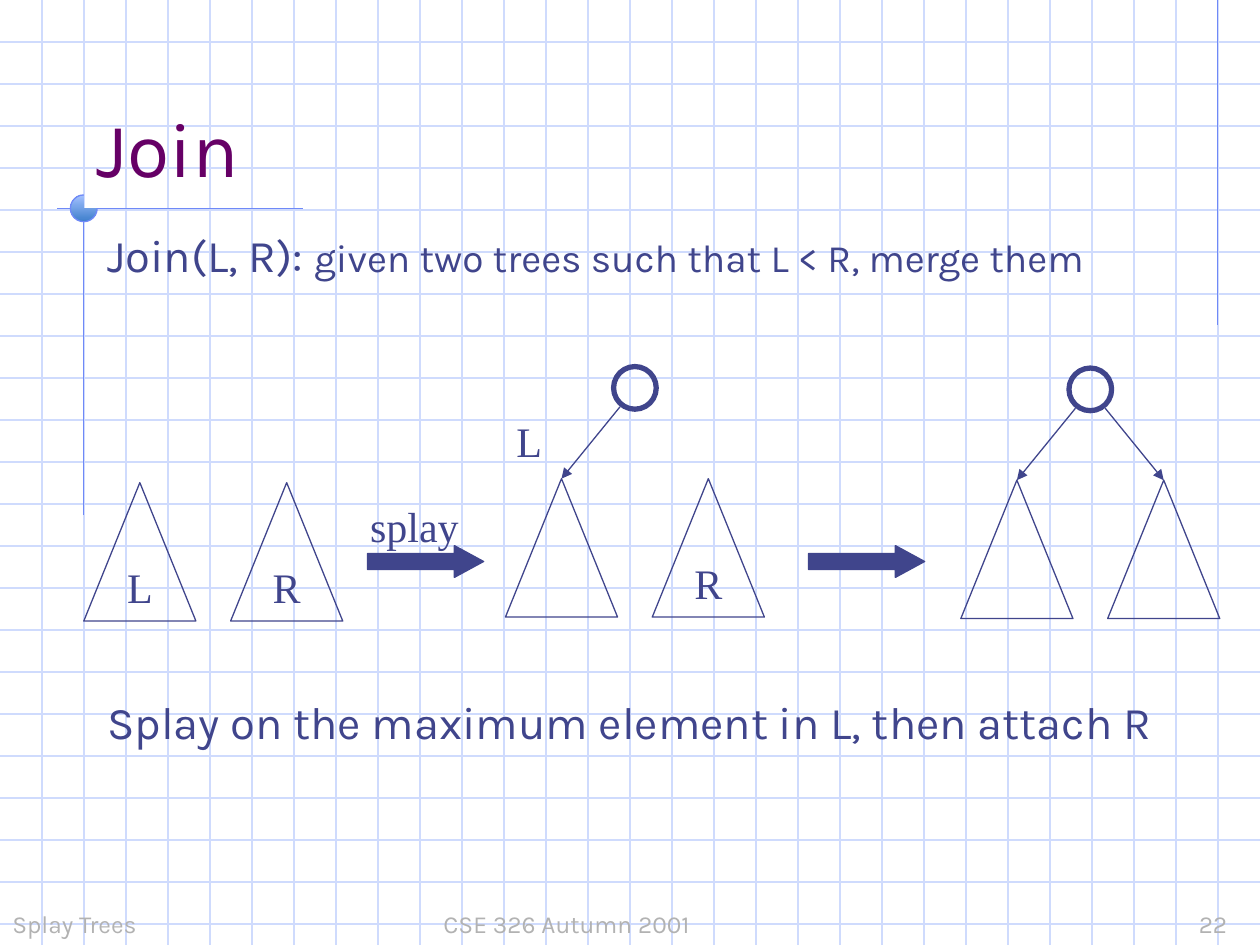
from lxml import etree
from pptx import Presentation
from pptx.dml.color import RGBColor
from pptx.enum.shapes import MSO_CONNECTOR, MSO_SHAPE
from pptx.enum.text import MSO_ANCHOR, MSO_AUTO_SIZE, PP_ALIGN
from pptx.oxml.ns import qn
from pptx.util import Cm, Pt

STRAIGHT = MSO_CONNECTOR.STRAIGHT
TRIANGLE, OVAL = MSO_SHAPE.ISOSCELES_TRIANGLE, MSO_SHAPE.OVAL
ARC, RIGHT_ARROW = MSO_SHAPE.ARC, MSO_SHAPE.RIGHT_ARROW
TOP, MIDDLE, BOTTOM = MSO_ANCHOR.TOP, MSO_ANCHOR.MIDDLE, MSO_ANCHOR.BOTTOM
LEFT, CENTER, RIGHT = PP_ALIGN.LEFT, PP_ALIGN.CENTER, PP_ALIGN.RIGHT
NO_AUTOFIT = MSO_AUTO_SIZE.NONE

INK, GRID, ACCENT = "40458C", "CFDBFD", "6F89F7"
PURPLE, GREY = "660066", "B2B2B2"
WIDTH, HEIGHT = 25.4, 19.05


def color(hex_string):
    return RGBColor.from_string(hex_string)


def add_line(x1, y1, x2, y2, line_color):
    line = slide.shapes.add_connector(STRAIGHT, Cm(x1), Cm(y1), Cm(x2), Cm(y2))
    line.line.color.rgb = color(line_color)
    line.line.width = Pt(0.75)
    etree.SubElement(line.element.spPr, qn("a:effectLst"))
    return line


presentation = Presentation()
presentation.slide_width, presentation.slide_height = Cm(WIDTH), Cm(HEIGHT)
slide = presentation.slides.add_slide(presentation.slide_layouts[1])
shapes = slide.shapes

# Grid paper: 30 squares across the width
step = WIDTH / 30
for row in range(1, 23):
    add_line(0, row * step, WIDTH, row * step, GRID)
for column in range(1, 30):
    add_line(column * step, 0, column * step, HEIGHT, GRID)

# Accent lines and the open circle at their corner
for ends in [(24.55, 0, 24.55, 6.55), (6.1, 4.21, 1.15, 4.21), (1.69, 3.93, 1.69, 10.39)]:
    add_line(*ends, ACCENT)
corner = shapes.add_shape(ARC, Cm(1.42), Cm(3.93), Cm(0.54), Cm(0.54))
corner.adjustments[0], corner.adjustments[1] = 0, 162  # 0 to 270 degrees
corner.shadow.inherit = False
corner.line.color.rgb = color(ACCENT)
corner.line.width = Pt(0.75)

# Title and body, placed in front of the grid
title, body = shapes.title, slide.placeholders[1]
for placeholder, box, anchor in [
    (title, (1.69, 0.85, 21.59, 3.17), BOTTOM),
    (body, (1.91, 4.45, 23.06, 11.43), TOP),
]:
    placeholder.element.getparent().append(placeholder.element)
    placeholder.left, placeholder.top, placeholder.width, placeholder.height = map(Cm, box)
    placeholder.text_frame.vertical_anchor = anchor
    placeholder.text_frame.auto_size = NO_AUTOFIT

title.text_frame.text = "Join"
heading = title.text_frame.paragraphs[0]
heading.alignment = LEFT
heading.font.name, heading.font.size = "Karla", Pt(44)
heading.font.color.rgb = color(PURPLE)

definition = body.text_frame.paragraphs[0]
for text, size in [
    ("Join(L, R): ", 25.9),
    ("given two trees such that L < R, merge them", 22.2),
]:
    run = definition.add_run()
    run.text = text
    run.font.size = Pt(size)
method = body.text_frame.add_paragraph()
method.text = "Splay on the maximum element in L, then attach R"
method.font.size = Pt(25.9)
for paragraph, space in [(definition, 6), (method, 236)]:
    paragraph.space_before = Pt(space)
    paragraph.font.name = "Karla"
    paragraph.font.color.rgb = color(INK)
    properties = paragraph._p.get_or_add_pPr()
    properties.set("marL", "0")
    properties.set("indent", "0")
    bullet = etree.Element(qn("a:buNone"))
    properties.find(qn("a:spcBef")).addnext(bullet)

# Trees: left and top of each pair, labels, and which subtrees hang from a root
tree_width, tree_height, pitch = 2.26, 2.79, 2.96
root_size, root_rise = 0.86, 2.26
for left, top, labels, linked in [
    (1.69, 9.73, ("L", "R"), ()),
    (10.19, 9.65, ("", "R"), (0,)),
    (19.37, 9.68, ("", ""), (0, 1)),
]:
    triangles = []
    for index, label in enumerate(labels):
        triangle = shapes.add_shape(
            TRIANGLE, Cm(left + index * pitch), Cm(top), Cm(tree_width), Cm(tree_height)
        )
        triangle.shadow.inherit = False
        triangle.fill.background()
        triangle.line.color.rgb = color(INK)
        triangle.line.width = Pt(0.75)
        triangles.append(triangle)
        if label:
            frame = triangle.text_frame
            frame.text = label
            frame.word_wrap = False
            frame.vertical_anchor = MIDDLE
            paragraph = frame.paragraphs[0]
            paragraph.alignment = CENTER
            paragraph.font.name, paragraph.font.size = "Times New Roman", Pt(24)
            paragraph.font.color.rgb = color(INK)
    if not linked:
        continue

    center = left + (pitch + tree_width) / 2
    root = shapes.add_shape(
        OVAL, Cm(center - root_size / 2), Cm(top - root_rise), Cm(root_size), Cm(root_size)
    )
    root.shadow.inherit = False
    root.fill.background()
    root.line.color.rgb = color(INK)
    root.line.width = Pt(3)
    for index in linked:
        start = center + (0.3 if index else -0.3)
        link = add_line(start, top - 1.45, left + index * pitch + tree_width / 2, top, INK)
        link.end_connect(triangles[index], 0)
        etree.SubElement(link.line._get_or_add_ln(), qn("a:tailEnd"), type="triangle")

# Block arrows between the steps
for left in (7.41, 16.3):
    arrow = shapes.add_shape(RIGHT_ARROW, Cm(left), Cm(11), Cm(2.34), Cm(0.64))
    arrow.adjustments[1] = 0.92
    arrow.shadow.inherit = False
    arrow.fill.solid()
    arrow.fill.fore_color.rgb = color(INK)
    arrow.line.color.rgb = color(INK)
    arrow.line.width = Pt(0.75)

# Diagram labels and footer
for text, box, font, size, ink, anchor, alignment in [
    ("splay", (7.21, 9.96, 2.29, 1.27), "Times New Roman", 24, INK, TOP, LEFT),
    ("L", (10.16, 8.26, 1.02, 1.27), "Times New Roman", 24, INK, TOP, LEFT),
    ("Splay Trees", (0, 17.78, 5.28, 1.27), "Karla", 14, GREY, BOTTOM, LEFT),
    ("CSE 326 Autumn 2001", (8.69, 17.78, 8, 1.27), "Karla", 14, GREY, BOTTOM, LEFT),
    ("22", (22.99, 17.78, 2, 1.27), "Karla", 14, GREY, BOTTOM, RIGHT),
]:
    label = shapes.add_textbox(*map(Cm, box))
    label.text_frame.text = text
    label.text_frame.word_wrap = font == "Karla"
    label.text_frame.vertical_anchor = anchor
    paragraph = label.text_frame.paragraphs[0]
    paragraph.alignment = alignment
    paragraph.font.name, paragraph.font.size = font, Pt(size)
    paragraph.font.color.rgb = color(ink)

presentation.save("out.pptx")
